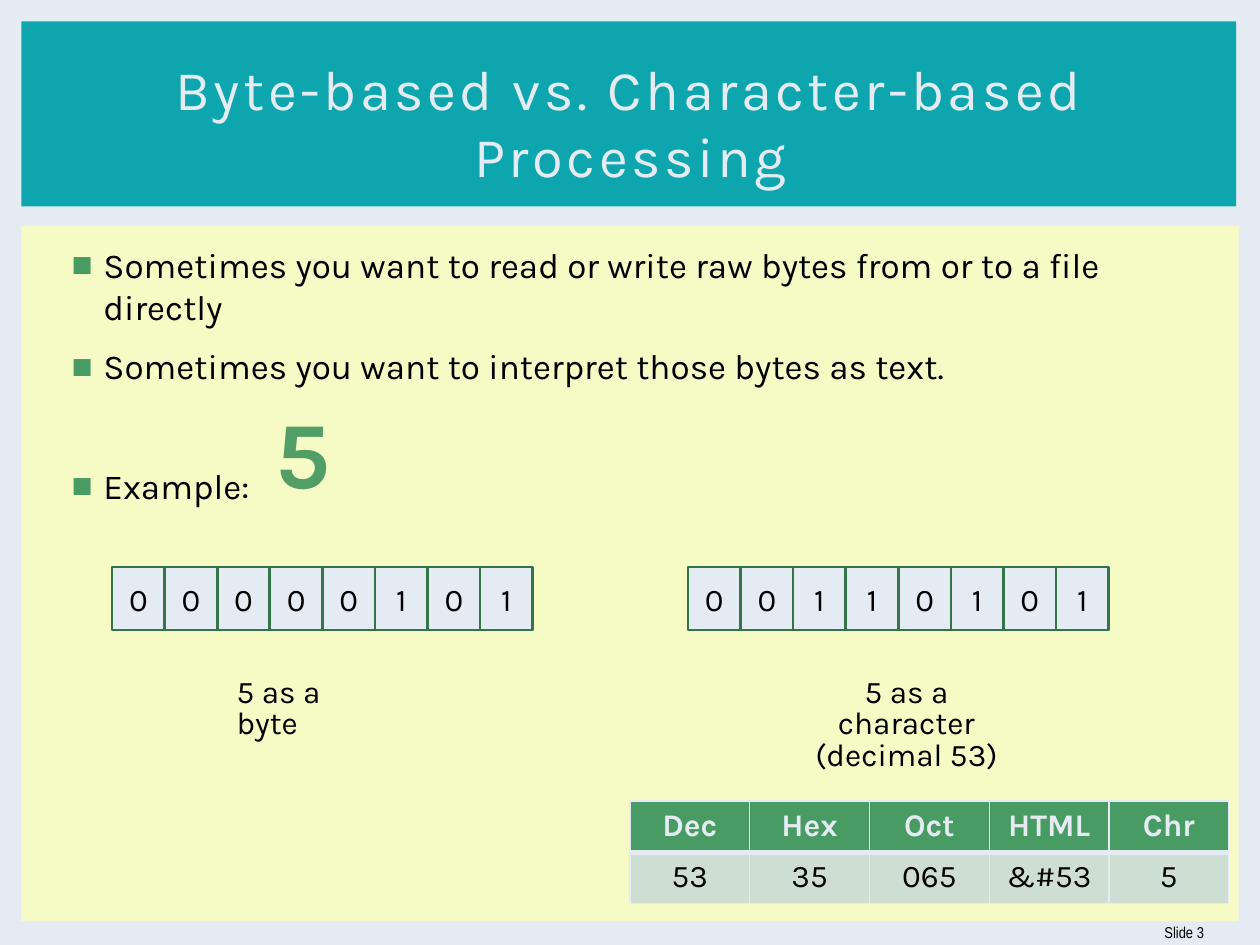
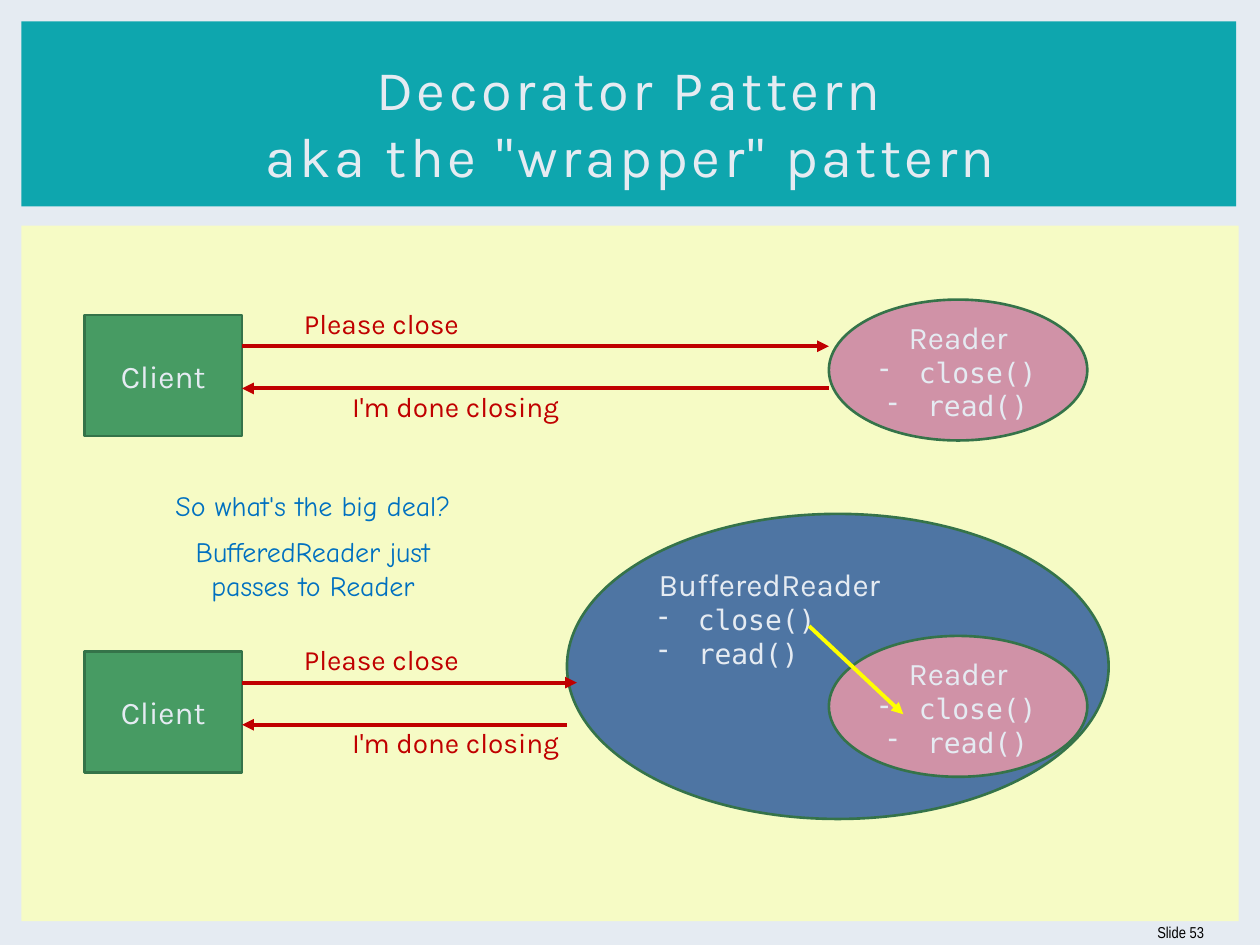
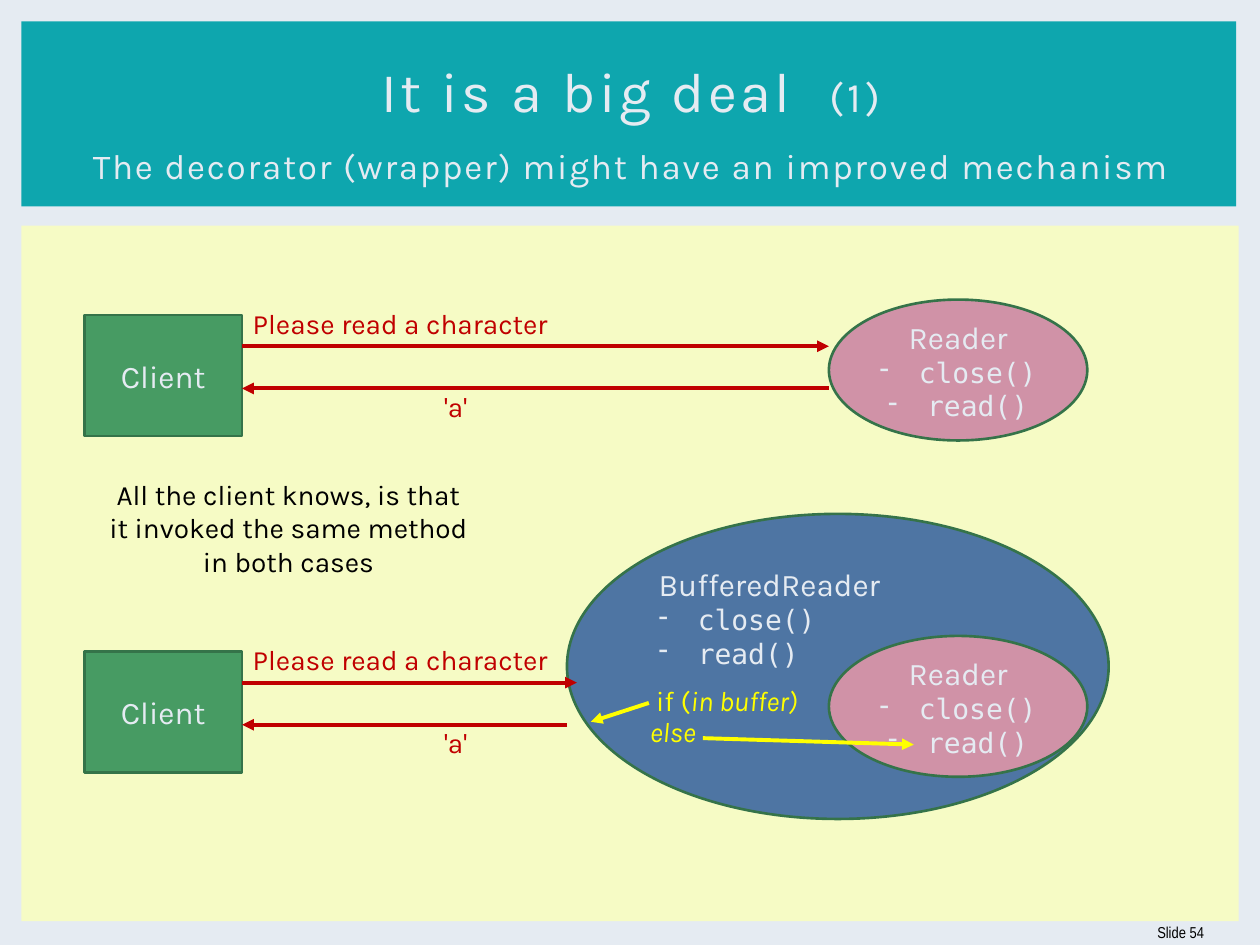
from typing import NamedTuple

from lxml import etree
from pptx import Presentation, util as u
from pptx.dml.color import RGBColor
from pptx.enum import shapes, text
from pptx.oxml import ns

PALE = RGBColor(0xE5, 0xEB, 0xF2)
CREAM = RGBColor(0xF6, 0xFB, 0xC5)
TEAL = RGBColor(0x0E, 0xA6, 0xAE)
GREEN = RGBColor(0x47, 0x9B, 0x63)
DARK_GREEN = RGBColor(0x35, 0x73, 0x49)
DIGIT_GREEN = RGBColor(0x51, 0x9E, 0x66)
CELL_GREEN = RGBColor(0xCF, 0xDE, 0xD3)
BLUE = RGBColor(0x4E, 0x75, 0xA3)
NOTE_BLUE = RGBColor(0x00, 0x70, 0xC0)
PINK = RGBColor(0xD0, 0x92, 0xA7)
RED = RGBColor(0xC0, 0x00, 0x00)
YELLOW = RGBColor(0xFF, 0xFF, 0x00)
BLACK = RGBColor(0x00, 0x00, 0x00)

MAIN_FONT = "Karla"
CODE_FONT = "DejaVu Sans Mono"
NOTE_FONT = "Comic Neue"
FOOTER_FONT = "Arial Narrow"

LEFT, CENTER, RIGHT = text.PP_ALIGN.LEFT, text.PP_ALIGN.CENTER, text.PP_ALIGN.RIGHT
RECTANGLE = shapes.MSO_SHAPE.RECTANGLE
PROCESS = shapes.MSO_SHAPE.FLOWCHART_PROCESS
ELLIPSE = shapes.MSO_SHAPE.FLOWCHART_CONNECTOR


class Box(NamedTuple):
    """A region in centimetres."""
    left: float
    top: float
    width: float
    height: float

    def inner(self, left, top, width, height):
        """Return a region whose corner is measured from this one's corner."""
        return Box(self.left + left, self.top + top, width, height)

    def point(self, x, y):
        return self.left + x, self.top + y

    def lengths(self):
        return [u.Cm(value) for value in self]


PANEL = Box(0.43, 4.55, 24.54, 14.02)
TITLE_BAND = Box(0.43, 0.43, 24.49, 3.73)
TITLE = Box(1.07, 0.99, 23.29, 2.92)
BODY = Box(1.07, 4.78, 23.34, 12.24)
FOOTER = Box(22.89, 18.42, 1.63, 0.76)
DIRECT_ROW = Box(1.7, 6.35, 20.22, 2.44)
WRAPPED_ROW = Box(1.7, 13.13, 20.22, 2.44)
DECORATOR = Box(11.43, 10.36, 10.92, 6.15)


def add_xml(parent, tag, **attributes):
    return etree.SubElement(parent, ns.qn(tag), attributes)


def add_solid(parent, color):
    add_xml(add_xml(parent, "a:solidFill"), "a:srgbClr", val=str(color))


def write(frame, words, size=16, color=BLACK, font=MAIN_FONT, bold=None, italic=None,
          spacing=None, align=CENTER, before=0, after=0, line=None, inline=False):
    """Add a paragraph, or with inline a run of the last one; return the paragraph."""
    paragraph = frame.paragraphs[-1]
    if not inline:
        if paragraph.runs:
            paragraph = frame.add_paragraph()
        paragraph.alignment = align
        paragraph.space_before, paragraph.space_after = u.Pt(before), u.Pt(after)
        if line:
            paragraph.line_spacing = u.Pt(line)
    for index, piece in enumerate(words.split("\n")):
        if index:
            paragraph.add_line_break()
        run = paragraph.add_run()
        run.text = piece
        run.font.size, run.font.name = u.Pt(size), font
        run.font.bold, run.font.italic = bold, italic
        run.font.color.rgb = color
        if spacing:
            run._r.get_or_add_rPr().set("spc", str(spacing * 100))
    return paragraph


def add_bullet(paragraph, character, margin, indent, color=None):
    properties = paragraph._p.get_or_add_pPr()
    properties.set("marL", str(u.Cm(margin)))
    properties.set("indent", str(u.Cm(-indent)))
    if color is not None:
        add_xml(add_xml(properties, "a:buClr"), "a:srgbClr", val=str(color))
    add_xml(properties, "a:buChar", char=character)


def add_block(parent, kind, box, fill, outline=None):
    shape = parent.add_shape(kind, *box.lengths())
    shape.shadow.inherit = False
    shape.fill.solid()
    shape.fill.fore_color.rgb = fill
    if outline is None:
        shape.line.fill.background()
    else:
        shape.line.color.rgb = outline
        shape.line.width = u.Pt(1.5)
    return shape


def add_label(slide, box, words, wrap=True, **style):
    frame = slide.shapes.add_textbox(*box.lengths()).text_frame
    frame.word_wrap = wrap
    write(frame, words, **style)
    return frame


def add_arrow(slide, start, end, color):
    connector = slide.shapes.add_connector(
        shapes.MSO_CONNECTOR.STRAIGHT, *(u.Cm(value) for value in (*start, *end)))
    connector.line.color.rgb = color
    connector.line.width = u.Pt(2.25)
    add_xml(connector.line._get_or_add_ln(), "a:tailEnd", type="triangle")
    add_xml(connector.element.spPr, "a:effectLst")


def place(placeholder, box):
    placeholder.left, placeholder.top, placeholder.width, placeholder.height = box.lengths()
    placeholder.text_frame.auto_size = text.MSO_AUTO_SIZE.NONE
    return placeholder.text_frame


def write_title(frame, words, size=32, spacing=2, **style):
    write(frame, words, size=size, color=PALE, spacing=spacing, **style)


def start_slide(presentation, layout_name, number, title):
    layout = presentation.slide_layouts.get_by_name(layout_name)
    slide = presentation.slides.add_slide(layout)
    for box, color in ((PANEL, CREAM), (TITLE_BAND, TEAL)):
        band = add_block(slide.shapes, RECTANGLE, box, color)
        slide.shapes.title.element.addprevious(band.element)
    frame = place(slide.shapes.title, TITLE)
    frame.vertical_anchor = text.MSO_ANCHOR.MIDDLE
    write_title(frame, title)
    footer = add_label(slide, FOOTER, f"Slide {number}", size=9, font=FOOTER_FONT, align=RIGHT)
    footer.vertical_anchor = text.MSO_ANCHOR.MIDDLE
    return slide


def add_bits(slide, box, bits):
    group = slide.shapes.add_group_shape()
    width = box.width / len(bits)
    for index, bit in enumerate(bits):
        cell = box.inner(index * width, 0, width, box.height)
        shape = add_block(group.shapes, RECTANGLE, cell, PALE, DARK_GREEN)
        write(shape.text_frame, bit, size=18)


def add_borders(cell, bottom):
    properties = cell._tc.get_or_add_tcPr()
    for side, width in (("L", 1), ("R", 1), ("T", 1), ("B", bottom)):
        add_solid(add_xml(properties, f"a:ln{side}", w=str(u.Pt(width))), PALE)


def add_code_table(slide, box, rows):
    table = slide.shapes.add_table(len(rows), len(rows[0]), *box.lengths()).table
    for row_index, row in enumerate(rows):
        header = row_index == 0
        for column_index, words in enumerate(row):
            cell = table.cell(row_index, column_index)
            add_borders(cell, 3 if header else 1)
            cell.fill.solid()
            cell.fill.fore_color.rgb = GREEN if header else CELL_GREEN
            write(cell.text_frame, words, size=18, bold=header,
                  color=PALE if header else BLACK)


def add_reader(slide, box, name, fill, align=CENTER):
    shape = add_block(slide.shapes, ELLIPSE, box, fill, DARK_GREEN)
    frame = shape.text_frame
    write(frame, name, size=18, color=PALE, align=align)
    for method in ("close()", "read()"):
        paragraph = write(frame, method, color=PALE, font=CODE_FONT, align=align)
        add_bullet(paragraph, "-", 0.79, 0.79)
    return frame


def add_exchange(slide, box, request, reply, request_left, request_width,
                 request_end=15.01, reply_start=15.01):
    """Draw a client, a reader and the two messages that pass between them."""
    add_reader(slide, box.inner(15.01, -0.31, 5.21, 2.84), "Reader", PINK)
    client_width = 3.18
    client = add_block(slide.shapes, PROCESS, box.inner(0, 0, client_width, box.height),
                       GREEN, DARK_GREEN)
    write(client.text_frame, "Client", size=18, color=PALE)
    add_arrow(slide, box.point(client_width, 0.63), box.point(request_end, 0.63), RED)
    add_arrow(slide, box.point(reply_start, 1.48), box.point(client_width, 1.48), RED)
    add_label(slide, box.inner(request_left, -0.26, request_width, 0.89), request,
              color=RED, line=18)
    add_label(slide, box.inner(4.6, 1.42, 5.77, 0.89), reply, color=RED, line=18)


def add_comparison(slide, *message):
    """Show the same messages sent to a plain reader and to a wrapped one."""
    frame = add_reader(slide, DECORATOR, "BufferedReader", BLUE, LEFT)
    frame.margin_bottom = u.Cm(2.1)
    add_exchange(slide, DIRECT_ROW, *message)
    add_exchange(slide, WRAPPED_ROW, *message, request_end=9.93, reply_start=9.73)


def build_processing_slide(presentation):
    slide = start_slide(presentation, "Title and Content", 3,
                        "Byte-based vs. Character-based Processing")
    body = place(slide.placeholders[1], BODY)
    for words, before in (
            ("Sometimes you want to read or write raw bytes from or to a file directly", 4),
            ("Sometimes you want to interpret those bytes as text.", 4),
            ("Example:", 38)):
        paragraph = write(body, words, size=20, align=LEFT, before=before, after=6)
        add_bullet(paragraph, "■", 0.76, 0.64, GREEN)
    add_label(slide, Box(5.28, 7.82, 1.65, 2.57), "5", wrap=False, size=54,
              color=DIGIT_GREEN, bold=True)
    add_bits(slide, Box(2.26, 11.43, 8.48, 1.27), "00000101")
    add_bits(slide, Box(13.87, 11.43, 8.48, 1.27), "00110101")
    add_label(slide, Box(4.52, 13.54, 3.5, 0.89), "5 as a byte", size=18, align=LEFT, line=18)
    add_label(slide, Box(15.8, 13.54, 4.95, 1.55), "5 as a character\n(decimal 53)",
              size=18, line=18)
    add_code_table(slide, Box(12.7, 16.15, 12.07, 2.06), [
        ["Dec", "Hex", "Oct", "HTML", "Chr"],
        ["53", "35", "065", "&#53", "5"],
    ])


def build_pattern_slide(presentation):
    slide = start_slide(presentation, "Title Only", 53,
                        'Decorator Pattern\naka the "wrapper" pattern')
    add_comparison(slide, "Please close", "I'm done closing", 3.74, 4.5)
    add_arrow(slide, DECORATOR.point(4.88, 2.26), DECORATOR.point(6.78, 4.04), YELLOW)
    note = add_label(slide, Box(2.92, 9.73, 6.78, 2.57), "So what's the big deal?",
                     color=NOTE_BLUE, font=NOTE_FONT, after=7)
    write(note, "BufferedReader just\npasses to Reader", color=NOTE_BLUE, font=NOTE_FONT)


def build_big_deal_slide(presentation):
    slide = start_slide(presentation, "Title Only", 54, "It is a big deal")
    title = slide.shapes.title.text_frame
    write_title(title, " ", spacing=12, inline=True)
    write_title(title, "(1)", size=24, inline=True)
    write_title(title, "The decorator (wrapper) might have an improved mechanism",
                size=20, spacing=1, before=12)
    add_comparison(slide, "Please read a character", "'a'", 2.74, 7.26)
    choice = add_label(slide, DECORATOR.inner(1.42, 3.33, 3.61, 1.55), "if (",
                       color=YELLOW, line=18)
    write(choice, "in buffer)", color=YELLOW, italic=True, inline=True)
    write(choice, "else", color=YELLOW, italic=True, align=LEFT, line=18)
    add_arrow(slide, DECORATOR.point(1.65, 3.81), DECORATOR.point(0.48, 4.19), YELLOW)
    add_arrow(slide, DECORATOR.point(2.74, 4.52), DECORATOR.point(6.99, 4.65), YELLOW)
    add_label(slide, Box(1.27, 9.5, 9.09, 2.31),
              "All the client knows, is that\nit invoked the same method\nin both cases")


def main():
    presentation = Presentation()
    presentation.slide_width, presentation.slide_height = u.Cm(25.4), u.Cm(19.05)
    background = presentation.slide_master.background.fill
    background.solid()
    background.fore_color.rgb = PALE
    build_processing_slide(presentation)
    build_pattern_slide(presentation)
    build_big_deal_slide(presentation)
    presentation.save("out.pptx")


if __name__ == "__main__":
    main()
